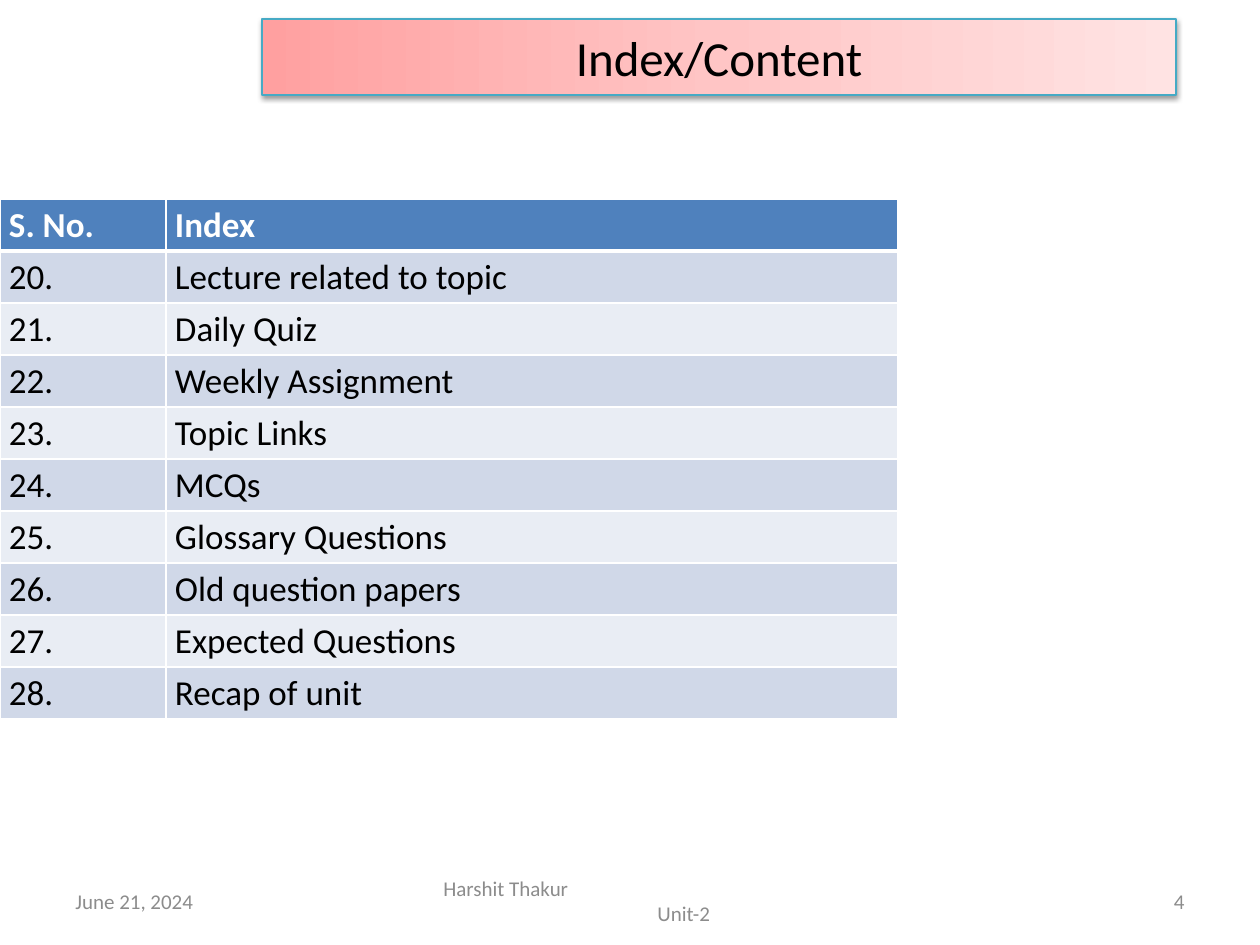
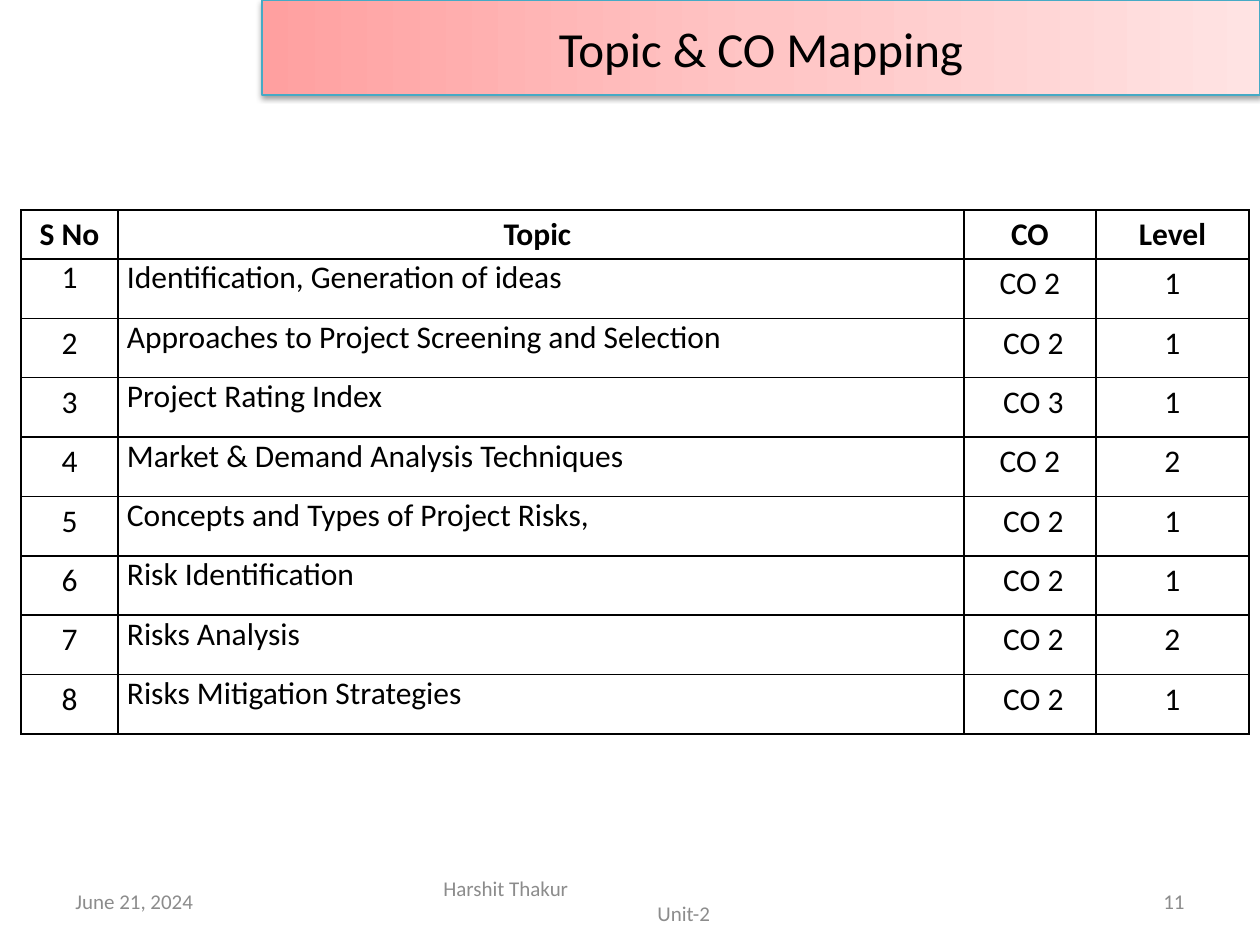
from copy import deepcopy

from lxml.etree import SubElement
from pptx import Presentation
from pptx.dml.color import RGBColor
from pptx.enum.shapes import MSO_SHAPE as Shape
from pptx.enum.text import MSO_ANCHOR as Anchor, PP_ALIGN as Align
from pptx.oxml.ns import qn
from pptx.util import Pt

# Shared look
SCALE = 914400 / 126
FONT = "Calibri"
BLACK, WHITE, GREY = "000000", "FFFFFF", "8C8C8C"
BAND_STOPS = [(0, "FFA0A0"), (0.5, "FFC5C5"), (1, "FFE3E3")]
BAND_LINE = "46AAC5"
HEADER_FILL, ROW_FILLS = "4F81BD", ("D0D8E8", "E9EDF4")
DATE, AUTHOR, UNIT = "June 21, 2024", "Harshit Thakur", "Unit-2"

# Slide content
INDEX_START = 20
INDEX_TOPICS = [
    "Lecture related to topic", "Daily Quiz", "Weekly Assignment",
    "Topic Links", "MCQs", "Glossary Questions", "Old question papers",
    "Expected Questions", "Recap of unit",
]
MAPPING_HEADER = ("S No", "Topic ", "CO", "Level")
MAPPING = [
    ("Identification, Generation of ideas", "CO 2", "1"),
    ("Approaches to Project Screening and Selection", " CO 2", "1"),
    ("Project Rating Index", " CO 3", "1"),
    ("Market & Demand Analysis Techniques", "CO 2", "2"),
    ("Concepts and Types of Project Risks,", " CO 2", "1"),
    ("Risk Identification", " CO 2", "1"),
    ("Risks Analysis", " CO 2", "2"),
    ("Risks Mitigation Strategies", " CO 2", "1"),
]


def px(length):
    return round(length * SCALE)


def rgb(color):
    return RGBColor.from_string(color)


def style(para, size, color, align=Align.LEFT, bold=False):
    para.alignment = align
    font = para.font
    font.name, font.size, font.bold = FONT, Pt(size), bold
    font.color.rgb = rgb(color)


def add_footer_text(page, left, width, lines, align=Align.LEFT):
    """Lines are (text, left indent in px) pairs, one paragraph each."""
    box = page.shapes.add_textbox(px(left), px(876), px(width), px(50))
    frame = box.text_frame
    frame.word_wrap = True
    frame.vertical_anchor = Anchor.MIDDLE
    for number, (text, indent) in enumerate(lines):
        para = frame.add_paragraph() if number else frame.paragraphs[0]
        para.text = text
        style(para, 12, GREY, align)
        if indent:
            para._p.get_or_add_pPr().set("marL", str(px(indent)))


def add_footer(page, number):
    add_footer_text(page, 63, 294, [(DATE, 0)])
    add_footer_text(page, 431, 399, [(AUTHOR, 0), (UNIT, 214)])
    add_footer_text(page, 903, 294, [(str(number), 0)], Align.RIGHT)


def add_shadow(shape):
    shape.shadow.inherit = False
    effects = shape._element.spPr.find(qn("a:effectLst"))
    shadow = SubElement(effects, qn("a:outerShdw"), blurRad="40000",
                        dist="20000", dir="5400000", rotWithShape="0")
    color = SubElement(shadow, qn("a:srgbClr"), val=BLACK)
    SubElement(color, qn("a:alpha"), val="38000")


def add_title_band(page, title, top, width, height):
    band = page.shapes.add_shape(Shape.RECTANGLE, px(262), px(top),
                                 px(width), px(height))
    band.fill.gradient()
    band.fill.gradient_angle = 0
    stop_list = band._element.spPr.find(".//" + qn("a:gsLst"))
    stop_list.insert(1, deepcopy(stop_list[0]))
    for stop, (position, color) in zip(band.fill.gradient_stops, BAND_STOPS):
        stop.position = position
        stop.color.rgb = rgb(color)
    band.line.color.rgb = rgb(BAND_LINE)
    band.line.width = Pt(0.75)
    add_shadow(band)
    band.text_frame.vertical_anchor = Anchor.MIDDLE
    para = band.text_frame.paragraphs[0]
    para.text = title
    style(para, 28, BLACK, Align.CENTER)


def set_borders(cell, color, top=1, bottom=1):
    properties = cell._tc.get_or_add_tcPr()
    for side, width in (("L", 1), ("R", 1), ("T", top), ("B", bottom)):
        line = SubElement(properties, qn("a:ln" + side), w=str(Pt(width)))
        fill = SubElement(line, qn("a:solidFill"))
        SubElement(fill, qn("a:srgbClr"), val=color)


def add_grid(page, left, top, widths, header_height, row_height, rows, inset):
    """Add a plain table and yield each cell with its row and column."""
    height = header_height + row_height * (len(rows) - 1)
    table = page.shapes.add_table(len(rows), len(widths), px(left), px(top),
                                  px(sum(widths)), px(height)).table
    table.first_row = table.horz_banding = False
    for column, width in zip(table.columns, widths):
        column.width = px(width)
    for r, texts in enumerate(rows):
        table.rows[r].height = px(row_height if r else header_height)
        for c, text in enumerate(texts):
            cell = table.cell(r, c)
            cell.text = text
            cell.margin_left = cell.margin_right = px(9)
            cell.margin_top = cell.margin_bottom = px(inset)
            yield cell, r, c


def add_index_table(page):
    rows = [("S. No.", "Index")]
    rows += [(f"{number}.", topic)
             for number, topic in enumerate(INDEX_TOPICS, INDEX_START)]
    for cell, r, _ in add_grid(page, 0, 199, (166, 732), 52, 52, rows, 5):
        header = r == 0
        set_borders(cell, WHITE, top=3 if r == 1 else 1,
                    bottom=3 if header else 1)
        cell.fill.solid()
        cell.fill.fore_color.rgb = rgb(
            HEADER_FILL if header else ROW_FILLS[(r - 1) % 2])
        style(cell.text_frame.paragraphs[0], 20,
              WHITE if header else BLACK, bold=header)


def add_mapping_table(page):
    rows = [MAPPING_HEADER]
    rows += [(str(number), *entry) for number, entry in enumerate(MAPPING, 1)]
    widths = (97, 846, 132, 153)
    for cell, r, c in add_grid(page, 21, 210, widths, 49, 59.4, rows, 0):
        set_borders(cell, BLACK)
        cell.fill.background()
        is_topic = r > 0 and c == 1
        para = cell.text_frame.paragraphs[0]
        if not is_topic and (r, c) != (1, 0):
            para.line_spacing = 1.15
        style(para, 18, BLACK, Align.JUSTIFY if is_topic else Align.CENTER,
              bold=r == 0)


def main():
    deck = Presentation()
    deck.slide_width, deck.slide_height = px(1260), px(945)
    blank = deck.slide_layouts[6]

    # Index
    page = deck.slides.add_slide(blank)
    add_footer(page, 4)
    add_index_table(page)
    add_title_band(page, "Index/Content", 19, 914, 76)

    # Topic and CO mapping
    page = deck.slides.add_slide(blank)
    add_footer(page, 11)
    add_title_band(page, "Topic & CO Mapping", 0, 998, 95)
    add_mapping_table(page)

    deck.save("out.pptx")


if __name__ == "__main__":
    main()
